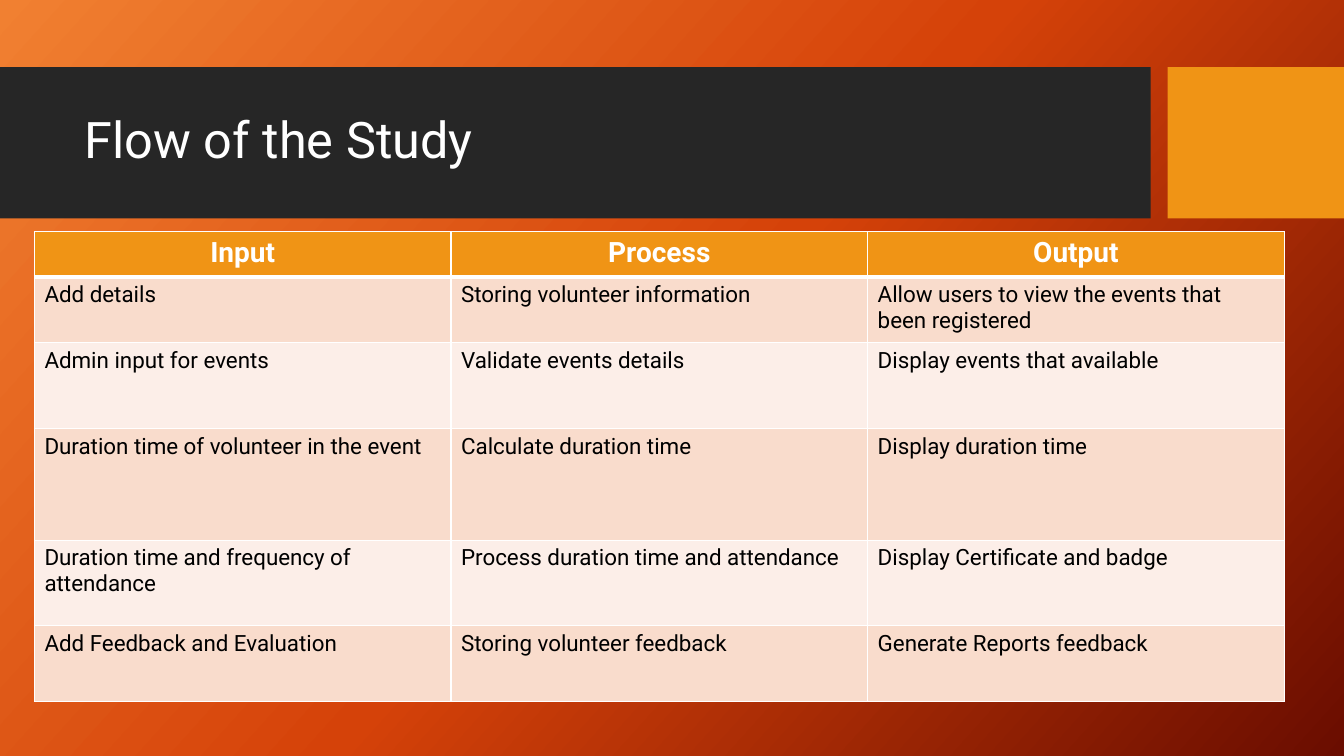
from copy import deepcopy

from lxml import etree
from pptx import Presentation, util as u
from pptx.dml.color import RGBColor
from pptx.enum import shapes, text
from pptx.oxml.ns import qn

WHITE = RGBColor(0xFF, 0xFF, 0xFF)
BLACK = RGBColor(0x00, 0x00, 0x00)
CHARCOAL = RGBColor(0x26, 0x26, 0x26)
AMBER = RGBColor(0xF0, 0x94, 0x15)
PEACH = RGBColor(0xF9, 0xDC, 0xCC)
BLUSH = RGBColor(0xFC, 0xEE, 0xE8)
GLOW = [
    (0, RGBColor(0xF1, 0x80, 0x31)),
    (0.5, RGBColor(0xD5, 0x42, 0x09)),
    (1, RGBColor(0x6A, 0x0D, 0x00)),
]

FLOW = [
    ("Input", "Process", "Output"),
    ("Add details", "Storing volunteer information",
     "Allow users to view the events that been registered"),
    ("Admin input for events", "Validate events details",
     "Display events that available"),
    ("Duration time of volunteer in the event", "Calculate duration time",
     "Display duration time"),
    ("Duration time and frequency of attendance",
     "Process duration time and attendance", "Display Certificate and badge"),
    ("Add Feedback and Evaluation", "Storing volunteer feedback",
     "Generate Reports feedback"),
]
ROW_HEIGHTS = [5.4, 7.8, 10.2, 13.3, 10.2, 9]


class Deck:
    """One slide on a grid of 160 columns by 90 rows."""
    font = "Roboto"
    unit = u.Inches(1) / 12

    def __init__(self):
        self.prs = Presentation()
        self.prs.slide_width = self.grid(160)
        self.prs.slide_height = self.grid(90)
        self.s = self.prs.slides.add_slide(self.prs.slide_layouts[5])

    def grid(self, n):
        return u.Emu(round(n * self.unit))

    def box(self, *cells):
        return [self.grid(n) for n in cells]

    def background(self, stops, angle):
        fill = self.s.background.fill
        fill.gradient()
        fill.gradient_angle = angle
        gs_list = self.s.element.find(".//" + qn("a:gsLst"))
        gs_list.append(deepcopy(gs_list[0]))
        for stop, (position, color) in zip(fill.gradient_stops, stops):
            stop.position = position
            stop.color.rgb = color

    def band(self, cells, color):
        sp = self.s.shapes.add_shape(shapes.MSO_SHAPE.RECTANGLE, *self.box(*cells))
        sp.shadow.inherit = False
        sp.fill.solid()
        sp.fill.fore_color.rgb = color
        sp.line.fill.background()

    def add_text(self, tf, words, size, color, bold=False, align=text.PP_ALIGN.LEFT):
        p = tf.paragraphs[0]
        p.alignment = align
        r = p.add_run()
        r.text = words
        r.font.name = self.font
        r.font.size = u.Pt(size)
        r.font.bold = bold
        r.font.color.rgb = color
        return p

    def title(self, cells, words):
        sp = self.s.shapes.title
        sp.left, sp.top, sp.width, sp.height = self.box(*cells)
        # Bring the title in front of the bands
        self.s.shapes.element.append(sp.element)
        tf = sp.text_frame
        tf.word_wrap = True
        tf.auto_size = text.MSO_AUTO_SIZE.NONE
        tf.vertical_anchor = text.MSO_ANCHOR.MIDDLE
        self.add_text(tf, words, 36, WHITE).line_spacing = 0.9

    def borders(self, cell, **widths):
        tc_pr = cell._tc.get_or_add_tcPr()
        for i, (side, width) in enumerate(widths.items()):
            ln = etree.Element(qn("a:ln" + side), w=str(u.Pt(width)))
            fill = etree.SubElement(ln, qn("a:solidFill"))
            etree.SubElement(fill, qn("a:srgbClr"), val=str(WHITE))
            tc_pr.insert(i, ln)

    def table(self, left, top, width, heights, rows):
        frame = self.s.shapes.add_table(
            len(rows), len(rows[0]), *self.box(left, top, width, sum(heights)))
        tbl = frame.table
        for col in tbl.columns:
            col.width = self.grid(width / len(rows[0]))
        for i, (height, row) in enumerate(zip(heights, rows)):
            tbl.rows[i].height = self.grid(height)
            for j, words in enumerate(row):
                cell = tbl.cell(i, j)
                cell.fill.solid()
                if i == 0:
                    cell.fill.fore_color.rgb = AMBER
                    self.add_text(cell.text_frame, words, 20, WHITE, True,
                                  text.PP_ALIGN.CENTER)
                else:
                    cell.fill.fore_color.rgb = PEACH if i % 2 else BLUSH
                    self.add_text(cell.text_frame, words, 16, BLACK)
                self.borders(cell, L=1, R=1, T=3 if i == 1 else 1,
                             B=3 if i == 0 else 1)


def main():
    deck = Deck()

    # Backdrop and header bands
    deck.background(GLOW, 360 - 42)
    deck.band((0, 8, 137, 18), CHARCOAL)
    deck.band((139, 8, 21, 18), AMBER)

    # Title and flow table
    deck.title((8.9, 9.85, 126.1, 14.15), "Flow of the Study")
    deck.table(4.1, 27.6, 148.8, ROW_HEIGHTS, FLOW)

    deck.prs.save("out.pptx")


if __name__ == "__main__":
    main()
